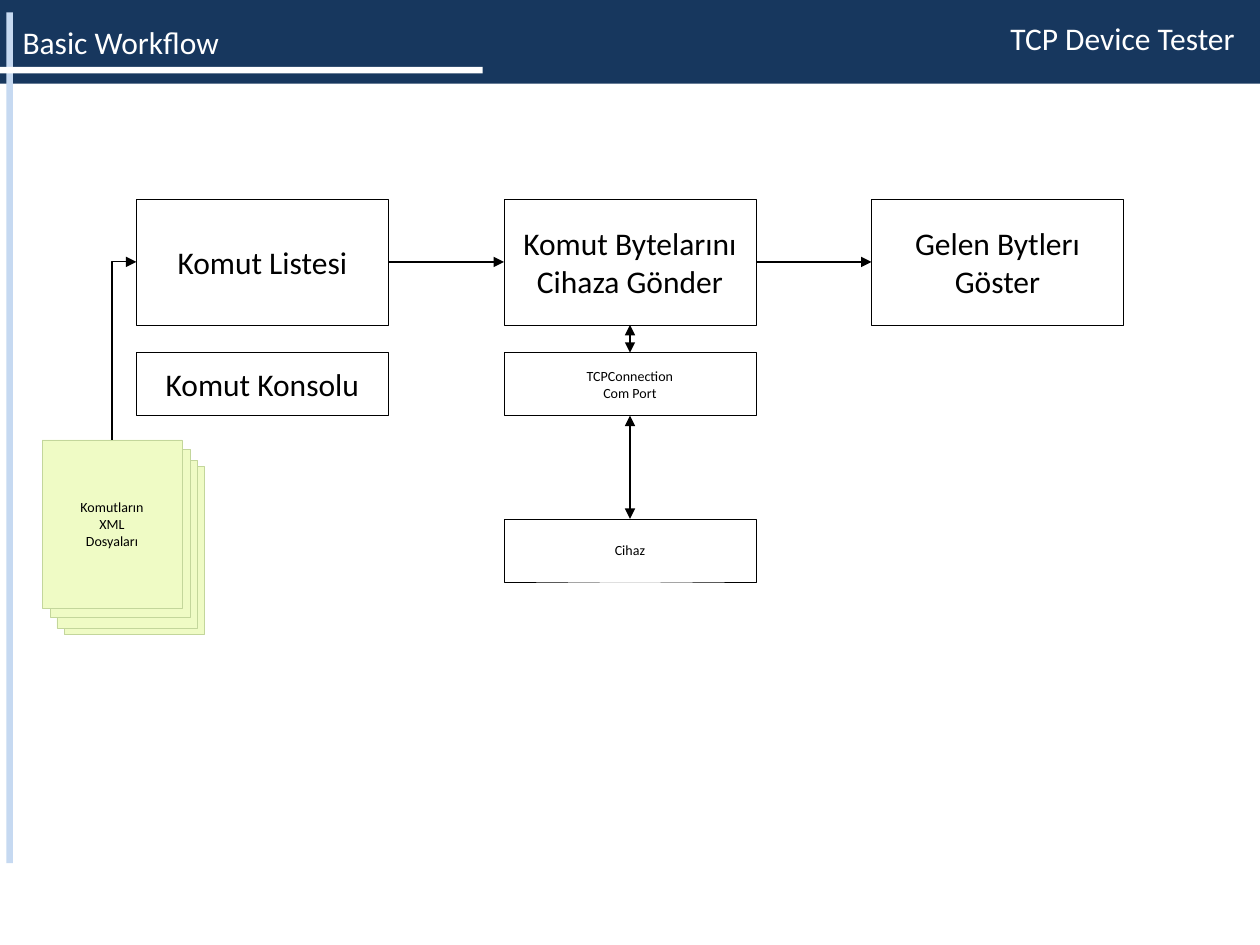
from lxml import etree
from pptx import Presentation
from pptx.dml.color import RGBColor
from pptx.enum.shapes import MSO_CONNECTOR, MSO_SHAPE
from pptx.enum.text import MSO_ANCHOR, MSO_AUTO_SIZE, PP_ALIGN
from pptx.oxml.ns import qn
from pptx.util import Cm, Pt

RECT = MSO_SHAPE.RECTANGLE
STRAIGHT, ELBOW = MSO_CONNECTOR.STRAIGHT, MSO_CONNECTOR.ELBOW
TOP, MIDDLE = MSO_ANCHOR.TOP, MSO_ANCHOR.MIDDLE
LEFT, CENTER = PP_ALIGN.LEFT, PP_ALIGN.CENTER
GROW = MSO_AUTO_SIZE.SHAPE_TO_FIT_TEXT
NAVY, PALE, WHITE, BLACK = "17375E", "C6D9F1", "FFFFFF", "000000"
LIME, OLIVE = "EFFBC5", "C3D69B"


def rgb(value):
    return RGBColor.from_string(value)


def write(sp, lines, size, color=BLACK, align=CENTER, **frame):
    tf = sp.text_frame
    for name, value in frame.items():
        setattr(tf, name, value)
    for i, line in enumerate(lines):
        p = tf.paragraphs[0] if i == 0 else tf.add_paragraph()
        p.alignment = align
        r = p.add_run()
        r.text = line
        for name, value in {"name": "Calibri", "size": Pt(size)}.items():
            setattr(r.font, name, value)
        r.font.color.rgb = rgb(color)


def add_box(s, box, fill=WHITE, line=None, lines=(), size=18):
    sp = s.shapes.add_shape(RECT, *map(Cm, box))
    sp.shadow.inherit = False
    sp.fill.solid()
    sp.fill.fore_color.rgb = rgb(fill)
    if line:
        sp.line.color.rgb = rgb(line)
        sp.line.width = Pt(0.25)
    else:
        sp.line.fill.background()
    write(sp, lines, size, word_wrap=True, vertical_anchor=MIDDLE)
    return sp


def style_arrow(cxn, ends=("tailEnd",)):
    cxn.line.color.rgb = rgb(BLACK)
    cxn.line.width = Pt(0.75)
    ln = cxn.line._get_or_add_ln()
    for end in ends:
        etree.SubElement(ln, qn("a:" + end), type="triangle")
    etree.SubElement(ln.getparent(), qn("a:effectLst"))


def join(s, start, start_side, finish, finish_side, ends=("tailEnd",)):
    cxn = s.shapes.add_connector(STRAIGHT, 0, 0, 0, 0)
    cxn.begin_connect(start, start_side)
    cxn.end_connect(finish, finish_side)
    style_arrow(cxn, ends)


def add_corner_arrow(s, start, finish):
    x1, y1 = start.left + start.width // 2, start.top
    x2, y2 = finish.left, finish.top + finish.height // 2
    w, h = y1 - y2, x2 - x1
    x, y = (x1 + x2 - w) // 2, (y1 + y2 - h) // 2
    cxn = s.shapes.add_connector(ELBOW, x + w, y + h, x, y)
    sp_pr = cxn.element.spPr
    sp_pr.find(qn("a:xfrm")).set("rot", "5400000")
    sp_pr.find(qn("a:prstGeom")).set("prst", "bentConnector2")
    style_arrow(cxn)


def add_header(s, x, y, w, h):
    add_box(s, (x, y, w, h), NAVY)
    add_box(s, (x + 0.13, y + 0.25, 0.13, 17.15), PALE)
    add_box(s, (x, y + 1.35, 9.73, 0.13), WHITE)
    title = s.shapes.title
    title.element.getparent().append(title.element)
    product = s.shapes.add_textbox(0, 0, 0, 0)
    labels = (
        (title, "Basic Workflow", (x + 0.2, y + 0.34, 4.52, 1.02)),
        (product, "TCP Device Tester", (x + w - 5.28, y + 0.25, 5.08, 1.02)),
    )
    for sp, text, box in labels:
        for name, value in zip(("left", "top", "width", "height"), box):
            setattr(sp, name, Cm(value))
        write(sp, [text], 18, WHITE, LEFT, word_wrap=False,
              vertical_anchor=TOP, auto_size=GROW)


def add_flow(s, x, y, w, h):
    bw, bh = 5.08, 2.54
    pitch = (w - bw) / 2
    row2, row3 = y + 3.1, y + h - bh / 2
    parts = {
        "list": (0, y, bh, ["Komut Listesi"], 18),
        "send": (1, y, bh, ["Komut Bytelarını Cihaza Gönder"], 18),
        "show": (2, y, bh, ["Gelen Bytlerı", "Göster"], 18),
        "console": (0, row2, bh / 2, ["Komut Konsolu"], 18),
        "link": (1, row2, bh / 2, ["TCPConnection", "Com Port"], 8),
        "device": (1, row3, bh / 2, ["Cihaz"], 8),
    }
    boxes = {
        key: add_box(s, (x + col * pitch, top, bw, height), WHITE, BLACK, lines, size)
        for key, (col, top, height, lines, size) in parts.items()
    }
    for a, b in (("list", "send"), ("send", "show")):
        join(s, boxes[a], 3, boxes[b], 1)
    for a, b in (("send", "link"), ("link", "device")):
        join(s, boxes[a], 2, boxes[b], 0, ("headEnd", "tailEnd"))
    return boxes["list"]


def add_file_stack(s, x, y, w, h):
    for dx, dy in ((0.45, 0.53), (0.3, 0.41), (0.17, 0.19)):
        add_box(s, (x + dx, y + dy, w, h), LIME, OLIVE)
    return add_box(s, (x, y, w, h), LIME, OLIVE, ["Komutların", "XML", "Dosyaları"], 8)


def main():
    prs = Presentation()
    prs.slide_width, prs.slide_height = Cm(25.4), Cm(19.05)
    s = prs.slides.add_slide(prs.slide_layouts[5])
    add_header(s, 0, 0, 25.4, 1.69)
    command_list = add_flow(s, 2.75, 4.01, 19.9, 7.72)
    files = add_file_stack(s, 0.85, 8.87, 2.82, 3.39)
    add_corner_arrow(s, files, command_list)
    prs.save("out.pptx")


if __name__ == "__main__":
    main()
